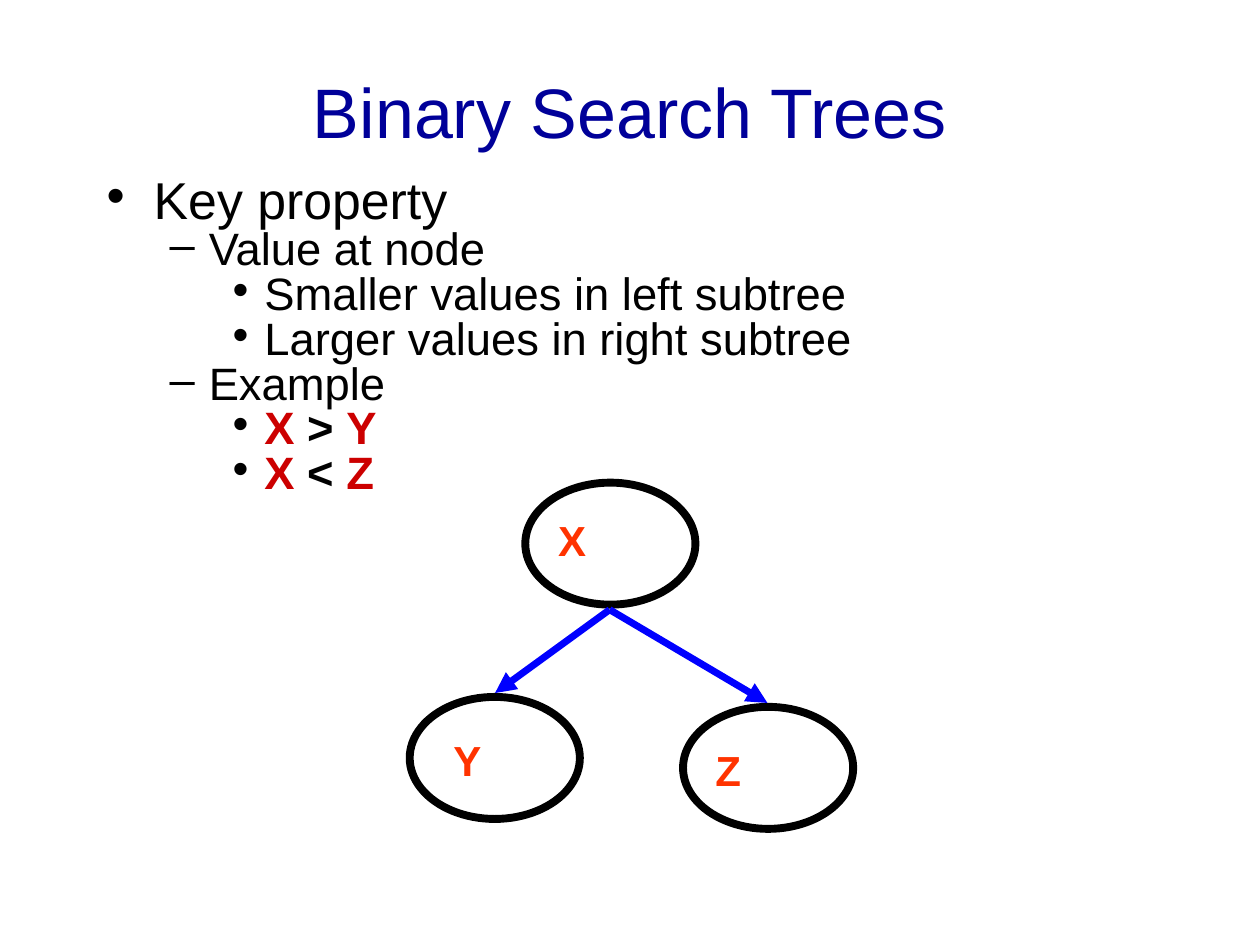
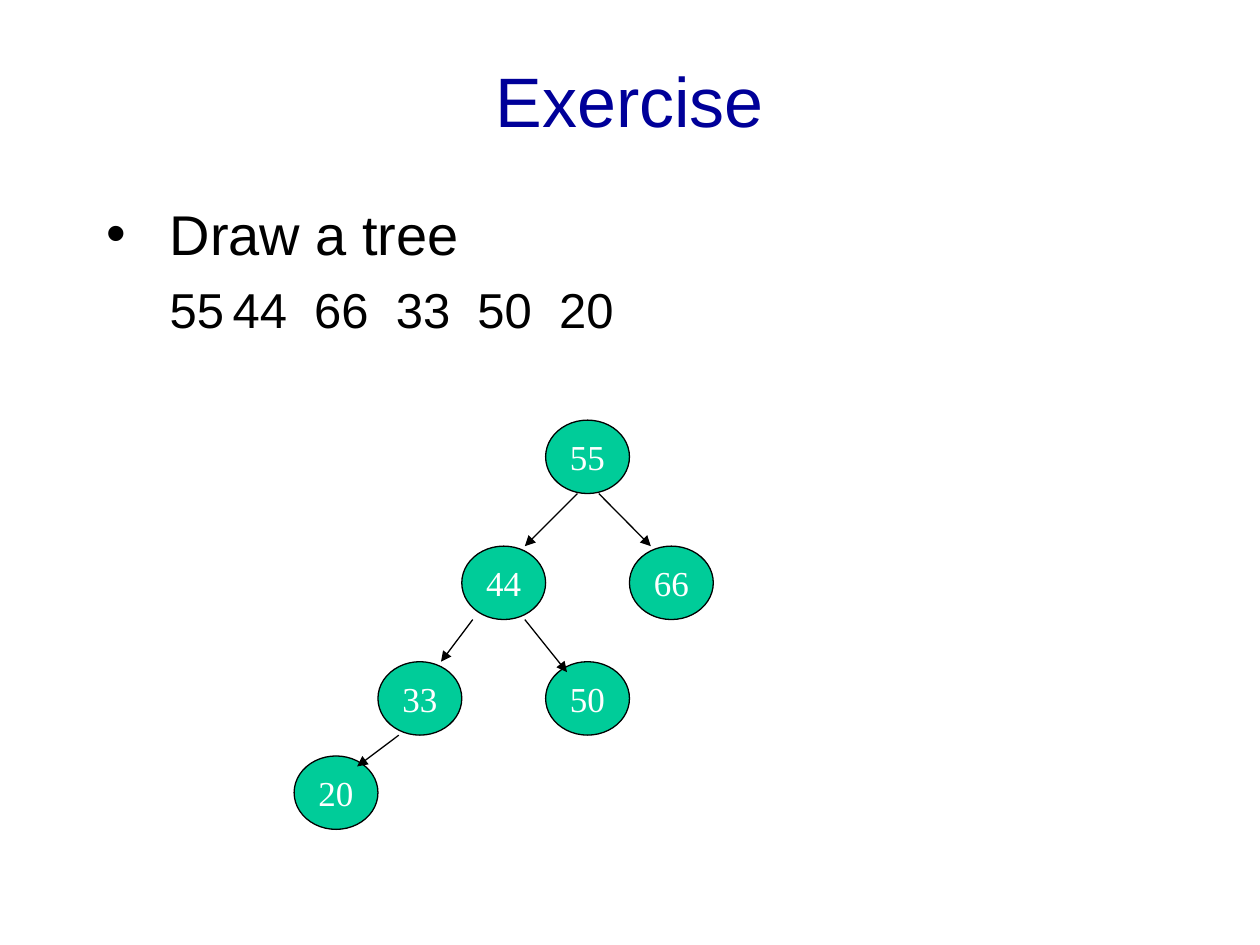
from dataclasses import dataclass

from lxml import etree
from pptx import Presentation
from pptx import util as u
from pptx.dml.color import RGBColor
from pptx.enum import shapes, text
from pptx.oxml import ns


@dataclass(frozen=True)
class Theme:
    sans: str = "Arial"
    serif: str = "Times New Roman"
    title: str = "000099"
    ink: str = "000000"
    key: str = "CC0000"
    letter: str = "FF3300"
    arrow: str = "0000FF"
    node: str = "00CC99"
    white: str = "FFFFFF"
    title_size: float = 40
    letter_size: float = 24
    node_size: float = 20


def sub(parent, tag, **attrs):
    return etree.SubElement(parent, ns.qn(tag), attrs)


def lengths(*values):
    return [u.Cm(v) for v in values]


class Deck:
    def __init__(self, theme):
        self.theme = theme
        self.prs = Presentation()
        self.prs.slide_width, self.prs.slide_height = lengths(25.4, 19.05)
        self.s = None

    def slide(self, title, top):
        self.s = self.prs.slides.add_slide(self.prs.slide_layouts[6])
        t = self.theme
        tf = self.box((1.9, top, 21.59, 3.18))
        tf.vertical_anchor = text.MSO_ANCHOR.MIDDLE
        p = tf.paragraphs[0]
        p.alignment = text.PP_ALIGN.CENTER
        self.run(p, title, t.title, size=u.Pt(t.title_size))

    def box(self, at):
        tf = self.s.shapes.add_textbox(*lengths(*at)).text_frame
        tf.word_wrap = True
        return tf

    def run(self, p, words, color, **fmt):
        r = p.add_run()
        r.text = words
        for name, value in {"name": self.theme.sans, **fmt}.items():
            setattr(r.font, name, value)
        r.font.color.rgb = RGBColor.from_string(color)

    def bullets(self, at, levels, items):
        tf = self.box(at)
        for i, (level, runs) in enumerate(items):
            style = levels[level]
            p = tf.paragraphs[0] if i == 0 else tf.add_paragraph()
            pPr = p._p.get_or_add_pPr()
            pPr.set("marL", str(u.Cm(style["left"])))
            pPr.set("indent", str(-u.Cm(style["hang"])))
            sub(sub(pPr, "a:buClr"), "a:srgbClr", val=self.theme.ink)
            sub(pPr, "a:buFont", typeface=self.theme.sans)
            sub(pPr, *style["mark"][:1], **style["mark"][1])
            fmt = {"level": level, "line_spacing": style.get("spacing", 1.0),
                   "space_before": u.Pt(style["before"] if i else 0)}
            for name, value in fmt.items():
                setattr(p, name, value)
            bold = len(runs) > 1
            for words, color in runs:
                self.run(p, words, color, size=u.Pt(style["size"]), bold=bold)

    def ellipse(self, at, width, fill=None):
        sp = self.s.shapes.add_shape(shapes.MSO_SHAPE.OVAL, *lengths(*at))
        sp.shadow.inherit = False
        if fill:
            sp.fill.solid()
            sp.fill.fore_color.rgb = RGBColor.from_string(fill)
        else:
            sp.fill.background()
        sp.line.color.rgb = RGBColor.from_string(self.theme.ink)
        sp.line.width = u.Pt(width)
        return sp

    def node(self, at, words):
        t = self.theme
        tf = self.ellipse(at, 0.75, t.node).text_frame
        tf.word_wrap = False
        tf.vertical_anchor = text.MSO_ANCHOR.MIDDLE
        p = tf.paragraphs[0]
        p.alignment = text.PP_ALIGN.CENTER
        self.run(p, words, t.white, name=t.serif, size=u.Pt(t.node_size))

    def letter(self, at, words):
        t = self.theme
        p = self.box(at).paragraphs[0]
        self.run(p, words, t.letter, size=u.Pt(t.letter_size), bold=True)

    def arrow(self, ends, color, width):
        c = self.s.shapes.add_connector(shapes.MSO_CONNECTOR.STRAIGHT, *lengths(*ends))
        c.line.color.rgb = RGBColor.from_string(color)
        c.line.width = u.Pt(width)
        sub(c.line._get_or_add_ln(), "a:tailEnd", type="triangle")
        sub(c._element.spPr, "a:effectLst")


def search_trees(deck):
    t = deck.theme
    deck.slide("Binary Search Trees", 0.64)
    dot, dash = ("a:buChar", {"char": "•"}), ("a:buChar", {"char": "–"})
    levels = [
        dict(left=0.95, hang=0.95, mark=dot, size=29.6, before=8, spacing=0.6),
        dict(left=2.06, hang=0.79, mark=dash, size=25.9, before=7, spacing=0.6),
        dict(left=3.18, hang=0.64, mark=dot, size=25.9, before=7, spacing=0.6),
    ]
    plain = [(0, "Key property"), (1, "Value at node"), (2, "Smaller values in left subtree"),
             (2, "Larger values in right subtree"), (1, "Example")]
    items = [(level, [(words, t.ink)]) for level, words in plain]
    for sign, child in ((">", "Y"), ("<", "Z")):
        items.append((2, [("X ", t.key), (sign + " ", t.ink), (child, t.key)]))
    deck.bullets((1.9, 3.7, 21.59, 7.19), levels, items)

    for x, y in ((10.59, 9.73), (8.26, 14.05), (13.77, 14.25)):
        deck.ellipse((x, y, 3.43, 2.46), 4.5)
    for child in ((15.47, 14.17), (9.98, 13.97)):
        deck.arrow((12.29, 12.29, *child), t.arrow, 4)
    for words, x, y, w in (("Y", 8.89, 14.68, 1.73), ("X", 11, 10.24, 2.41),
                           ("Z", 14.17, 14.88, 2.74)):
        deck.letter((x, y, w, 1.27), words)


def exercise(deck):
    t = deck.theme
    deck.slide("Exercise", 0.42)
    levels = [
        dict(left=1.27, hang=1.27, mark=("a:buChar", {"char": "•"}), size=32, before=8),
        dict(left=2.54, hang=1.27, size=28, before=7,
             mark=("a:buAutoNum", {"type": "arabicPlain", "startAt": "55"})),
    ]
    deck.bullets((1.9, 3.9, 21.59, 13.11), levels,
                 [(0, [("Draw a tree", t.ink)]), (1, [("44  66  33  50  20", t.ink)])])

    node_w, node_h, left = 1.69, 1.48, 5.93
    rows = [(8.47, {3: "55"}), (11.01, {2: "44", 4: "66"}),
            (13.34, {1: "33", 3: "50"}), (15.24, {0: "20"})]
    for y, row in rows:
        for column, value in row.items():
            deck.node((left + column * node_w, y, node_w, node_h), value)
    for ends in ((11.64, 9.95, 10.58, 11.01), (9.53, 12.49, 8.89, 13.34),
                 (8.04, 14.82, 7.2, 15.45), (12.07, 9.95, 13.12, 11.01),
                 (10.58, 12.49, 11.43, 13.55)):
        deck.arrow(ends, t.ink, 0.75)


def main():
    deck = Deck(Theme())
    search_trees(deck)
    exercise(deck)
    deck.prs.save("out.pptx")


if __name__ == "__main__":
    main()
